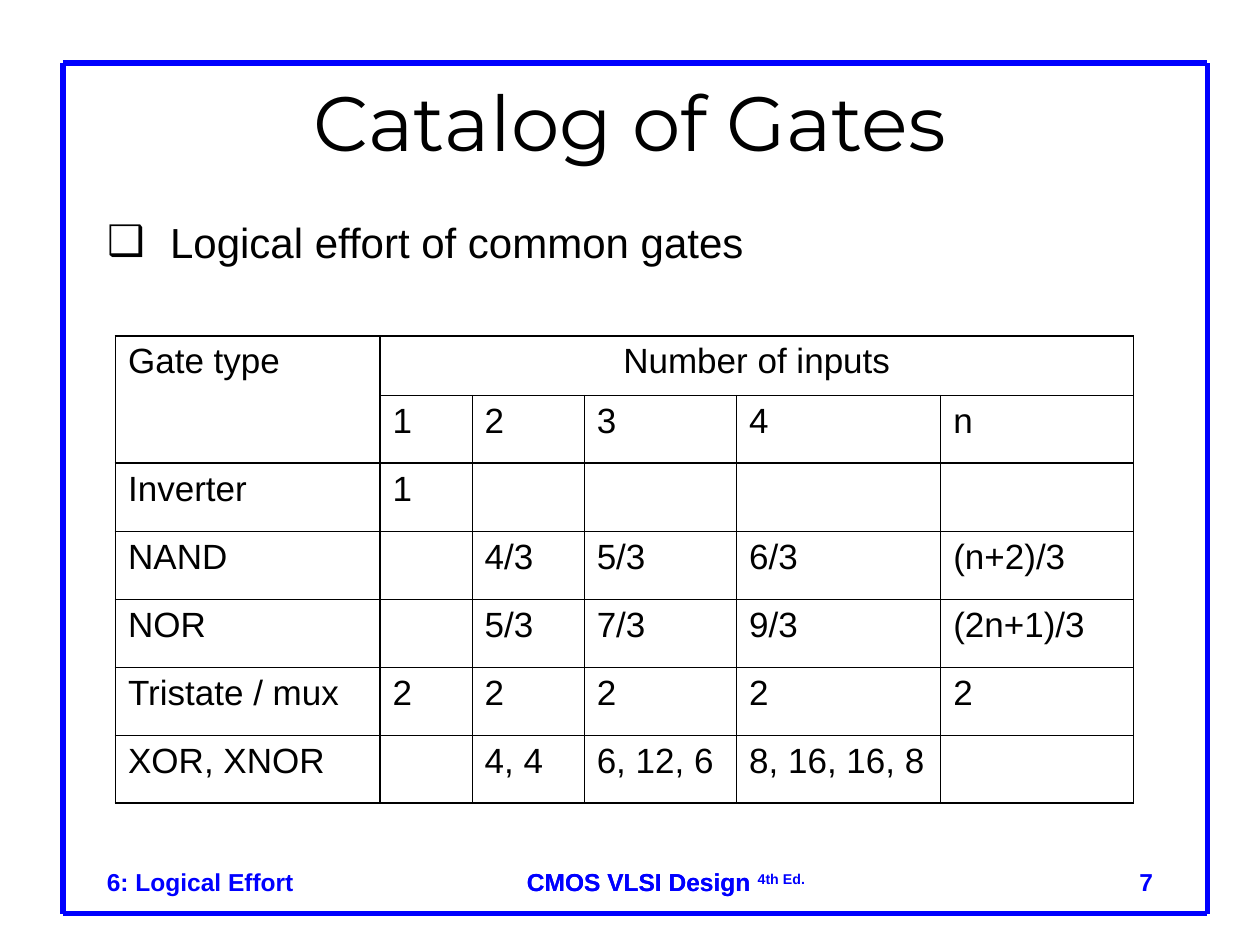
import dataclasses
import pptx
import pptx.util
import pptx.dml.color
import pptx.enum.shapes
import pptx.enum.text
import pptx.oxml
import pptx.oxml.ns

ALIGN = pptx.enum.text.PP_ALIGN
FIT = pptx.enum.text.MSO_AUTO_SIZE
ANCHOR = pptx.enum.text.MSO_ANCHOR


@dataclasses.dataclass
class Theme:
    ink: str = "000000"
    blue: str = "0000FF"
    head: str = "Montserrat"
    body: str = "Arial"
    title: int = 44
    list: int = 24
    cell: int = 20
    foot: int = 14
    frame: float = 3
    heavy: float = 1.08
    thin: float = 0.45


def unit(n):
    """One grid step is a twelfth of an inch: 120 columns by 90 rows."""
    return pptx.util.Inches(n / 12)


def rgb(code):
    return pptx.dml.color.RGBColor.from_string(code)


def node(tag, **attrs):
    item = pptx.oxml.parse_xml(f"<a:{tag} {pptx.oxml.ns.nsdecls('a')}/>")
    for key, value in attrs.items():
        item.set(key, str(value))
    return item


def write(frame, text, *, size, font, color, bold=False, align=ALIGN.LEFT,
          before=0, raised=""):
    """Fill the first paragraph; the raised part follows as superscript."""
    para = frame.paragraphs[0]
    para.alignment = align
    para.space_before = pptx.util.Pt(before)
    for part, shift in ((text, 0), (raised, 30000)):
        if not part:
            continue
        run = para.add_run()
        run.text = part
        run.font.size = pptx.util.Pt(size)
        run.font.name = font
        run.font.bold = bold
        run.font.color.rgb = rgb(color)
        if shift:
            run.font._element.set("baseline", str(shift))
    return para


class Deck:
    def __init__(self, theme):
        self.theme = theme
        self.file = pptx.Presentation()
        self.file.slide_width, self.file.slide_height = unit(120), unit(90)
        self.slide = self.file.slides.add_slide(self.file.slide_layouts[1])

    def place(self, shape, x, y, w, h):
        shape.left, shape.top = unit(x), unit(y)
        shape.width, shape.height = unit(w), unit(h)
        return shape.text_frame

    def title(self, text, *box):
        t = self.theme
        frame = self.place(self.slide.shapes.title, *box)
        frame.auto_size = FIT.NONE
        frame.vertical_anchor = ANCHOR.MIDDLE
        write(frame, text, size=t.title, font=t.head, color=t.ink,
              align=ALIGN.CENTER)

    def bullet(self, text, *box):
        t = self.theme
        frame = self.place(self.slide.placeholders[1], *box)
        frame.auto_size = FIT.NONE
        para = write(frame, text, size=t.list, font=t.body, color=t.ink,
                     before=6)
        props = para._p.get_or_add_pPr()
        props.set("marL", str(unit(6)))
        props.set("indent", str(-unit(6)))
        props.append(node("buChar", char="❑"))

    def line(self, x1, y1, x2, y2):
        link = self.slide.shapes.add_connector(
            pptx.enum.shapes.MSO_CONNECTOR.STRAIGHT,
            unit(x1), unit(y1), unit(x2), unit(y2))
        link.line.color.rgb = rgb(self.theme.blue)
        link.line.width = pptx.util.Pt(self.theme.frame)
        link._element.spPr.append(node("effectLst"))

    def foot(self, text, *box, fit=FIT.NONE, **style):
        t = self.theme
        area = self.slide.shapes.add_textbox(*map(unit, box))
        area.text_frame.word_wrap = True
        area.text_frame.auto_size = fit
        write(area.text_frame, text, size=t.foot, font=t.body, color=t.blue,
              bold=True, **style)

    def border(self, cell, sides):
        """Draw left, right, top and bottom edges with the given widths."""
        props = cell._tc.get_or_add_tcPr()
        for spot, (side, width) in enumerate(sides.items()):
            edge = node("ln" + side, w=int(pptx.util.Pt(width)))
            fill = node("solidFill")
            fill.append(node("srgbClr", val=self.theme.ink))
            edge.append(fill)
            props.insert(spot, edge)

    def table(self, data, x, y, cols, rows, spans, bars, rules):
        """bars and rules number the heavy vertical and horizontal lines."""
        t = self.theme
        grid = self.slide.shapes.add_table(
            len(rows), len(cols), unit(x), unit(y),
            pptx.util.Inches(sum(cols)), pptx.util.Inches(sum(rows))).table
        grid.first_row = grid.horz_banding = False
        for col, width in zip(grid.columns, cols):
            col.width = pptx.util.Inches(width)
        for row, height in zip(grid.rows, rows):
            row.height = pptx.util.Inches(height)
        for start, end in spans:
            grid.cell(*start).merge(grid.cell(*end))

        def weight(n, heavy):
            return t.heavy if n in heavy else t.thin

        for r, values in enumerate(data):
            for c, text in enumerate(values):
                cell = grid.cell(r, c)
                cell.fill.background()
                if cell.is_spanned:
                    continue
                wide = cell.span_width if cell.is_merge_origin else 1
                tall = cell.span_height if cell.is_merge_origin else 1
                self.border(cell, {
                    "L": weight(c, bars), "R": weight(c + wide, bars),
                    "T": weight(r, rules), "B": weight(r + tall, rules)})
                write(cell.text_frame, text, size=t.cell, font=t.body,
                      color=t.ink, before=5,
                      align=ALIGN.CENTER if wide > 1 else ALIGN.LEFT)


def main():
    deck = Deck(Theme())

    # Frame
    left, top, right, low = 6, 6, 115, 87
    for ends in ((left, top, left, low), (left, top, right, top),
                 (right, top, right, low), (left, low, right, low)):
        deck.line(*ends)

    # Footer: the course name is doubled for a heavier look
    for text, width, raised in (("CMOS VLSI Design", 29, ""),
                                ("CMOS VLSI Design ", 30, "4th Ed.")):
        deck.foot(text, 49, 82, width, 4, fit=FIT.SHAPE_TO_FIT_TEXT,
                  before=8.8, raised=raised)
    deck.foot("6: Logical Effort", 9, 82, 102, 6)
    deck.foot("7", 86, 82, 25, 6, align=ALIGN.RIGHT)

    # Title and list
    deck.title("Catalog of Gates", 9, 7, 102, 9)
    deck.bullet("Logical effort of common gates", 9, 20, 102, 60)

    # Logical effort by gate and number of inputs
    gates = [
        ["Gate type", "Number of inputs", "", "", "", ""],
        ["", "1", "2", "3", "4", "n"],
        ["Inverter", "1", "", "", "", ""],
        ["NAND", "", "4/3", "5/3", "6/3", "(n+2)/3"],
        ["NOR", "", "5/3", "7/3", "9/3", "(2n+1)/3"],
        ["Tristate / mux", "2", "2", "2", "2", "2"],
        ["XOR, XNOR", "", "4, 4", "6, 12, 6", "8, 16, 16, 8", ""],
    ]
    deck.table(gates, 11, 32, cols=[2.1, 0.73, 0.89, 1.21, 1.62, 1.53],
               rows=[0.47] + [0.54] * 6,
               spans=[((0, 0), (1, 0)), ((0, 1), (0, 5))],
               bars=(0, 1, 6), rules=(0, 2, 7))

    deck.file.save("out.pptx")


if __name__ == "__main__":
    main()
